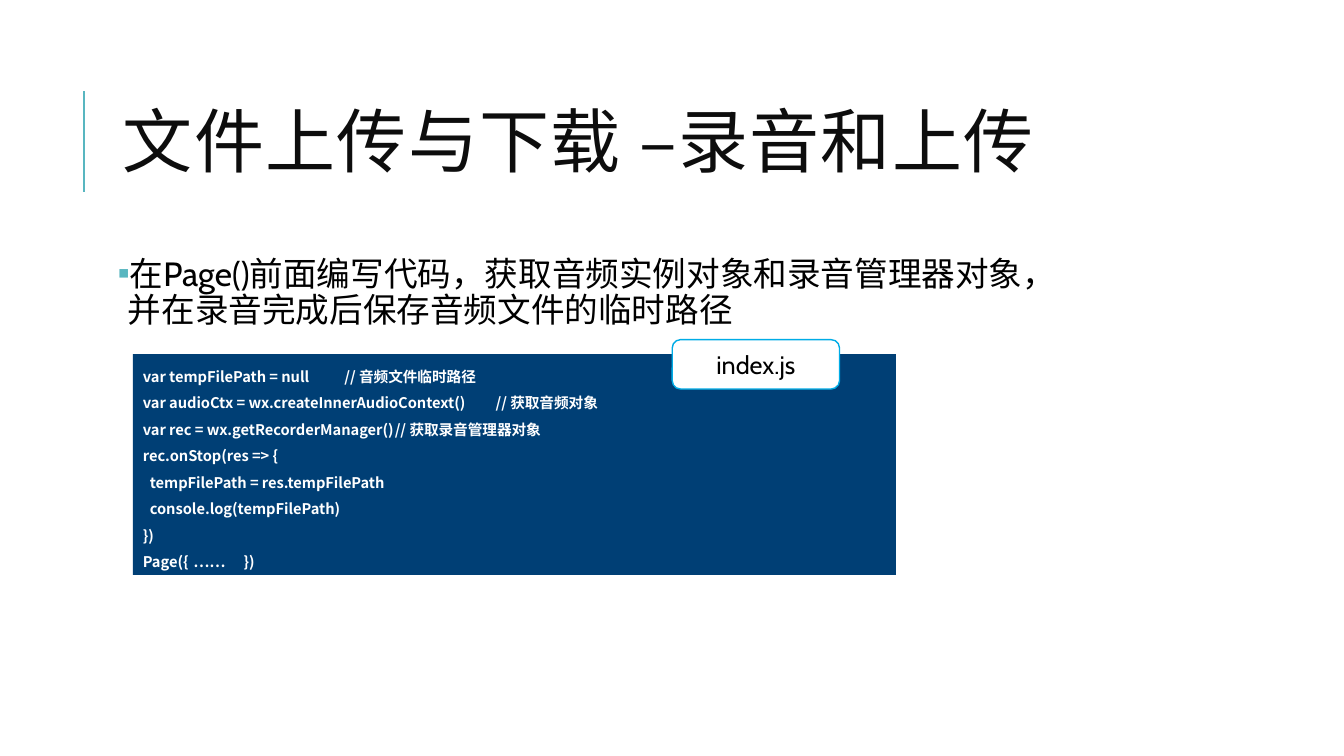
from pptx import Presentation
from pptx.dml.color import RGBColor
from pptx.enum.shapes import MSO_CONNECTOR, MSO_SHAPE
from pptx.enum.text import MSO_ANCHOR, MSO_AUTO_SIZE, PP_ALIGN
from pptx.oxml.ns import qn
from pptx.util import Pt
from lxml import etree

TEAL = RGBColor(0x58, 0xB6, 0xC0)
NAVY = RGBColor(0x00, 0x3F, 0x75)
SKY = RGBColor(0x00, 0xAC, 0xE6)
INK = RGBColor(0x0D, 0x0D, 0x0D)
BLACK = RGBColor(0, 0, 0)
WHITE = RGBColor(0xFF, 0xFF, 0xFF)
LEFT, CENTER = PP_ALIGN.LEFT, PP_ALIGN.CENTER
TOP, MIDDLE = MSO_ANCHOR.TOP, MSO_ANCHOR.MIDDLE
NO_FIT = MSO_AUTO_SIZE.NONE
RECTANGLE, ROUNDED = MSO_SHAPE.RECTANGLE, MSO_SHAPE.ROUNDED_RECTANGLE
STRAIGHT = MSO_CONNECTOR.STRAIGHT
CJK_FONT = "Noto Sans CJK SC"

TITLE = "文件上传与下载 –录音和上传"
BULLET = ("在Page()前面编写代码，获取音频实例对象和录音管理器对象，"
          "并在录音完成后保存音频文件的临时路径")
# Each code line: text, left indent, tab stops
CODE = [
    ("var tempFilePath = null\t// 音频文件临时路径", 0, [141]),
    ("var audioCtx = wx.createInnerAudioContext()\t// 获取音频对象", 0, [238.5]),
    ("var rec = wx.getRecorderManager()\t// 获取录音管理器对象", 0, [198.5]),
    ("rec.onStop(res => {", 0, []),
    ("tempFilePath = res.tempFilePath", 5, []),
    ("console.log(tempFilePath)", 5, []),
    ("})", 0, []),
    ("Page({\t……\t})", 0, [43.5, 75]),
]


def add_xml(parent, tag, **attributes):
    """Append a DrawingML element and return it."""
    element = etree.SubElement(parent, qn(tag))
    for name, value in attributes.items():
        element.set(name, str(value))
    return element


def write(para, text, font, size, color, bold=False, align=LEFT,
          line=1.0, before=0, after=0, tracking=0):
    """Write one formatted span into a paragraph."""
    para.alignment = align
    para.line_spacing = line
    para.space_before, para.space_after = Pt(before), Pt(after)
    span = para.add_run()
    span.text = text
    span.font.name, span.font.size = font, Pt(size)
    span.font.bold = bold
    span.font.color.rgb = color
    properties = span.font._element
    properties.set("spc", str(tracking * 100))
    add_xml(properties, "a:ea", typeface=CJK_FONT)


def set_indent(para, margin, hanging=0):
    """Set left margin and hanging indent; return the properties."""
    properties = para._p.get_or_add_pPr()
    properties.set("marL", str(Pt(margin)))
    properties.set("indent", str(-Pt(hanging)))
    return properties


def place(shape, box):
    """Move a shape to a box given in points."""
    shape.left, shape.top, shape.width, shape.height = map(Pt, box)


def prepare_frame(shape, anchor, side=7.2, edge=3.6):
    """Set wrapping, anchor and insets; return the text frame."""
    frame = shape.text_frame
    frame.word_wrap, frame.auto_size = True, NO_FIT
    frame.vertical_anchor = anchor
    frame.margin_left = frame.margin_right = Pt(side)
    frame.margin_top = frame.margin_bottom = Pt(edge)
    return frame


def add_panel(shapes, kind, box, fill, outline=None):
    """Add a filled shape without a shadow."""
    panel = shapes.add_shape(kind, *map(Pt, box))
    panel.shadow.inherit = False
    panel.fill.solid()
    panel.fill.fore_color.rgb = fill
    if outline:
        panel.line.color.rgb, panel.line.width = outline, Pt(1)
    else:
        panel.line.fill.background()
    return panel


def add_heading(page, box):
    """Fill the title and draw the accent rule to its left."""
    left, top, width, height = box
    x, y = left - 20.6, top + 18.7
    rule = page.shapes.add_connector(STRAIGHT, Pt(x), Pt(y + 72), Pt(x), Pt(y))
    rule.line.color.rgb, rule.line.width = TEAL, Pt(1.5)
    add_xml(rule._element.spPr, "a:effectLst")
    title = page.shapes.title
    place(title, box)
    frame = prepare_frame(title, MIDDLE)
    write(frame.paragraphs[0], TITLE, "Calibri", 50, INK, line=0.8, tracking=1)


def add_body(page, box):
    """Fill the body placeholder with its bullet."""
    body = page.placeholders[1]
    place(body, box)
    para = prepare_frame(body, TOP, side=3.6).paragraphs[0]
    write(para, BULLET, "Cabin", 24, BLACK, line=0.9, before=12, after=2)
    properties = set_indent(para, 7.2, hanging=7.2)
    color = add_xml(properties, "a:buClr")
    add_xml(color, "a:srgbClr", val=TEAL)
    add_xml(properties, "a:buFont", typeface="Calibri")
    add_xml(properties, "a:buChar", char="▪")


def add_code(page, box):
    """Draw the code panel with the file label on its top edge."""
    left, top, width, height = box
    group = page.shapes.add_group_shape()
    panel = add_panel(group.shapes, RECTANGLE, box, NAVY)
    frame = prepare_frame(panel, TOP)
    for index, (text, indent, stops) in enumerate(CODE):
        para = frame.add_paragraph() if index else frame.paragraphs[0]
        write(para, text, CJK_FONT, 10.5, WHITE, bold=True, line=Pt(18.9))
        properties = set_indent(para, indent)
        if stops:
            tabs = add_xml(properties, "a:tabLst")
            for stop in stops:
                add_xml(tabs, "a:tab", pos=Pt(stop), algn="l")
    label_box = (left + 385.2, top - 10.3, 119.5, 35.3)
    label = add_panel(group.shapes, ROUNDED, label_box, WHITE, SKY)
    label.adjustments[0] = 0.17
    frame = prepare_frame(label, MIDDLE)
    write(frame.paragraphs[0], "index.js", "Cabin", 18, BLACK, align=CENTER)


deck = Presentation()
deck.slide_width, deck.slide_height = Pt(960), Pt(540)
page = deck.slides.add_slide(deck.slide_layouts[1])
page.background.fill.solid()
page.background.fill.fore_color.rgb = WHITE
add_heading(page, (80.6, 46.1, 765.4, 118.1))
add_body(page, (80.6, 180, 686.9, 117.4))
add_code(page, (95, 252.9, 545, 157.7))
deck.save("out.pptx")
